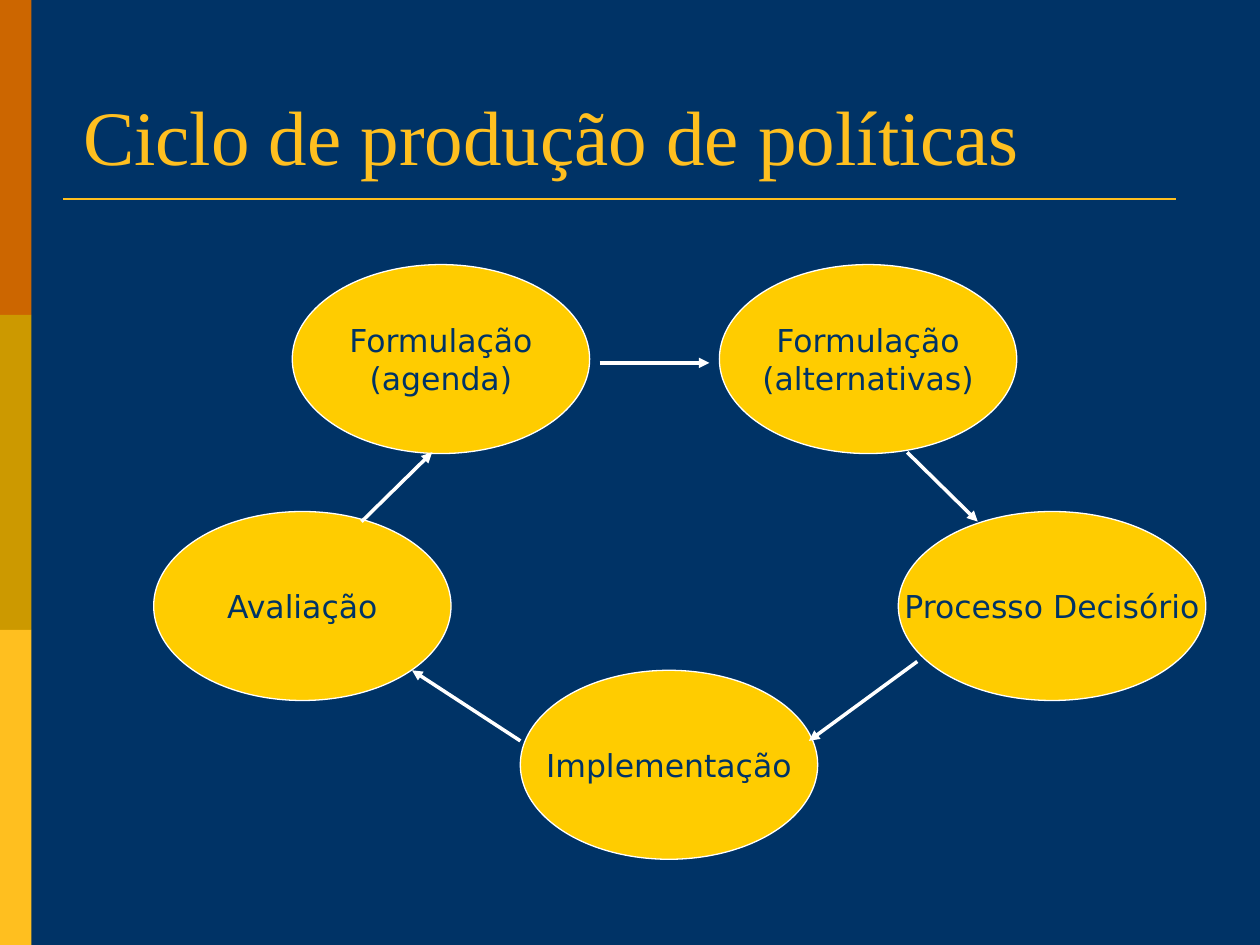
from lxml import etree
from pptx import Presentation
from pptx.dml.color import RGBColor
from pptx.enum.shapes import MSO_CONNECTOR, MSO_SHAPE
from pptx.enum.text import MSO_ANCHOR, MSO_AUTO_SIZE, PP_ALIGN
from pptx.oxml.ns import qn
from pptx.util import Inches, Pt

RECTANGLE, OVAL = MSO_SHAPE.RECTANGLE, MSO_SHAPE.OVAL
STRAIGHT = MSO_CONNECTOR.STRAIGHT
MIDDLE, BOTTOM = MSO_ANCHOR.MIDDLE, MSO_ANCHOR.BOTTOM
LEFT, CENTER = PP_ALIGN.LEFT, PP_ALIGN.CENTER
NO_AUTOFIT = MSO_AUTO_SIZE.NONE

COLORS = {
    "navy": "003366",
    "orange": "CC6600",
    "olive": "CC9900",
    "amber": "FFBF1F",
    "yellow": "FFCC00",
    "white": "FFFFFF",
}
BAND_WIDTH, BAND_HEIGHT = 0.25, 2.5
STAGE_WIDTH, STAGE_HEIGHT = 2.36, 1.5

# Label, left, top, width of each stage
STAGES = [
    ("Formulação\n(agenda)", 2.32, 2.1, STAGE_WIDTH),
    ("Formulação\n(alternativas)", 5.71, 2.1, STAGE_WIDTH),
    ("Processo Decisório", 7.13, 4.06, 2.44),
    ("Implementação", 4.13, 5.32, STAGE_WIDTH),
    ("Avaliação", 1.22, 4.06, STAGE_WIDTH),
]
# Start x, y and end x, y, clockwise round the cycle
ARROWS = [
    (4.76, 2.88, 5.63, 2.88),
    (7.2, 3.59, 7.76, 4.14),
    (7.28, 5.25, 6.42, 5.88),
    (4.13, 5.88, 3.27, 5.32),
    (2.87, 4.14, 3.43, 3.59),
]


def color(name):
    return RGBColor.from_string(COLORS[name])


def format_text(frame, font_name, size, color_name, alignment):
    for paragraph in frame.paragraphs:
        paragraph.alignment = alignment
        for run in paragraph.runs:
            run.font.name = font_name
            run.font.size = Pt(size)
            run.font.color.rgb = color(color_name)


def add_filled(slide, preset, left, top, width, height, fill):
    shape = slide.shapes.add_shape(
        preset, Inches(left), Inches(top), Inches(width), Inches(height))
    shape.shadow.inherit = False
    shape.fill.solid()
    shape.fill.fore_color.rgb = color(fill)
    shape.line.fill.background()
    return shape


def add_line(slide, start_x, start_y, end_x, end_y, color_name, weight):
    line = slide.shapes.add_connector(
        STRAIGHT, Inches(start_x), Inches(start_y), Inches(end_x), Inches(end_y))
    line.line.color.rgb = color(color_name)
    line.line.width = Pt(weight)
    etree.SubElement(line._element.spPr, qn("a:effectLst"))
    return line


def add_arrow(slide, *ends):
    arrow = add_line(slide, *ends, "white", 2)
    head = etree.SubElement(arrow.line._get_or_add_ln(), qn("a:tailEnd"))
    head.set("type", "triangle")


def add_stage(slide, label, left, top, width):
    stage = add_filled(slide, OVAL, left, top, width, STAGE_HEIGHT, "yellow")
    stage.line.color.rgb = color("white")
    stage.line.width = Pt(0.75)
    frame = stage.text_frame
    frame.text = label
    frame.word_wrap = False
    frame.vertical_anchor = MIDDLE
    format_text(frame, "DejaVu Sans", 18, "navy", CENTER)


def set_title(slide, text):
    title = slide.shapes.title
    title.left, title.top = Inches(0.56), Inches(0.36)
    title.width, title.height = Inches(8.88), Inches(1.13)
    frame = title.text_frame
    frame.text = text
    frame.auto_size = NO_AUTOFIT
    frame.vertical_anchor = BOTTOM
    format_text(frame, "Times New Roman", 44, "amber", LEFT)


def main():
    presentation = Presentation()
    presentation.slide_width, presentation.slide_height = Inches(10), Inches(7.5)
    slide = presentation.slides.add_slide(presentation.slide_layouts[5])
    slide.background.fill.solid()
    slide.background.fill.fore_color.rgb = color("navy")

    # Side bands and title rule
    for row, fill in enumerate(("orange", "olive", "amber")):
        add_filled(slide, RECTANGLE, 0, row * BAND_HEIGHT,
                   BAND_WIDTH, BAND_HEIGHT, fill)
    add_line(slide, 0.5, 1.58, 9.33, 1.58, "amber", 1.5)
    set_title(slide, "Ciclo de produção de políticas")

    # Policy cycle
    for stage in STAGES:
        add_stage(slide, *stage)
    for ends in ARROWS:
        add_arrow(slide, *ends)

    presentation.save("out.pptx")


if __name__ == "__main__":
    main()
